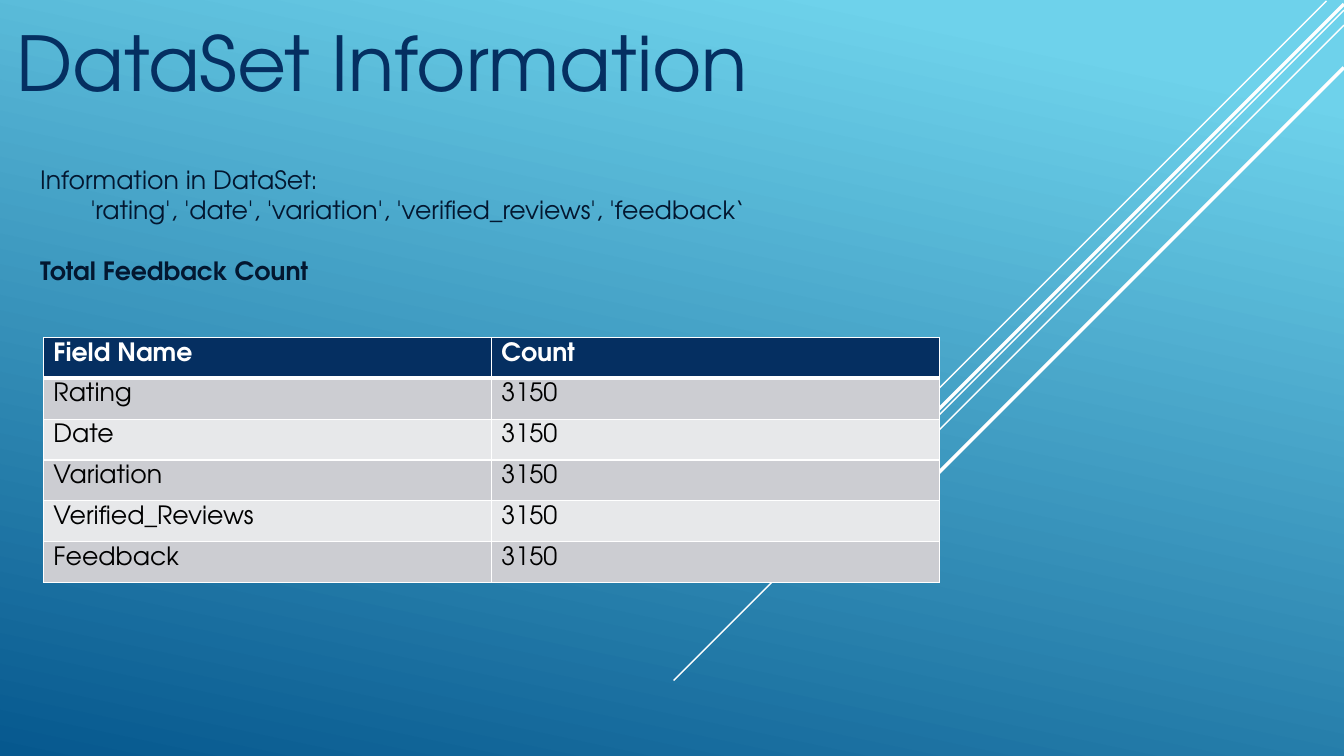
from dataclasses import dataclass

from lxml import etree
from pptx import Presentation
from pptx.dml.color import RGBColor
from pptx.enum import shapes, text
from pptx.oxml import ns
from pptx.util import Pt


@dataclass(frozen=True)
class Theme:
    font: str = "TeX Gyre Adventor"
    title_size: int = 54
    body_size: int = 18
    sky: str = "6ED2EB"
    deep: str = "06588E"
    navy: str = "052F61"
    ink: str = "031730"
    black: str = "000000"
    white: str = "FFFFFF"
    bands: tuple = ("CCCDD2", "E7E8EA")


THEME = Theme()


def write(paragraph, words, size=THEME.body_size, color=THEME.ink, bold=False,
          align=text.PP_ALIGN.LEFT, before=0, indent=0):
    paragraph.alignment = align
    paragraph.space_before = Pt(before)
    if indent:
        paragraph._p.get_or_add_pPr().set("marL", str(Pt(indent)))
    run = paragraph.add_run()
    run.text = words
    run.font.name = THEME.font
    run.font.size = Pt(size)
    run.font.bold = bold
    run.font.color.rgb = RGBColor.from_string(color)


def add_border(cell, side, width):
    properties = cell._tc.get_or_add_tcPr()
    line = etree.SubElement(properties, ns.qn(f"a:ln{side}"), w=str(Pt(width)))
    fill = etree.SubElement(line, ns.qn("a:solidFill"))
    etree.SubElement(fill, ns.qn("a:srgbClr"), val=THEME.white)


deck = Presentation()
deck.slide_width, deck.slide_height = Pt(960), Pt(540)
slide = deck.slides.add_slide(deck.slide_layouts[5])

# Background
backdrop = slide.background.fill
backdrop.gradient()
backdrop.gradient_angle = 258
for stop, position, color in zip(backdrop.gradient_stops, (0.1, 1),
                                 (THEME.sky, THEME.deep)):
    stop.position = position
    stop.color.rgb = RGBColor.from_string(color)

# Diagonal rays at 45 degrees: right end, top, horizontal reach, width
rays = [
    (947.5, 0.7, 299.5, 1),
    (960, 7.2, 478.8, 1),
    (960, 18, 390.2, 1),
    (960, 2.9, 382, 2.5),
    (960, 48.2, 342, 2.5),
]
for right, top, reach, width in rays:
    ray = slide.shapes.add_connector(
        shapes.MSO_CONNECTOR.STRAIGHT,
        Pt(right), Pt(top), Pt(right - reach), Pt(top + reach))
    ray.line.color.rgb = RGBColor.from_string(THEME.white)
    ray.line.width = Pt(width)
    etree.SubElement(ray._element.spPr, ns.qn("a:effectLst"))

# Title
title = slide.shapes.title
title.left, title.top, title.width, title.height = Pt(0), Pt(8), Pt(546), Pt(72.7)
title.text_frame.word_wrap = False
title.text_frame.auto_size = text.MSO_AUTO_SIZE.SHAPE_TO_FIT_TEXT
title.text_frame.vertical_anchor = text.MSO_ANCHOR.TOP
write(title.text_frame.paragraphs[0], "DataSet Information",
      size=THEME.title_size, color=THEME.navy, align=text.PP_ALIGN.CENTER)

# Summary of the fields
summary = slide.shapes.add_textbox(Pt(21.6), Pt(113.8), Pt(795), Pt(94.3)).text_frame
summary.word_wrap = True
summary.auto_size = text.MSO_AUTO_SIZE.SHAPE_TO_FIT_TEXT
write(summary.paragraphs[0], "Information in DataSet:")
write(summary.add_paragraph(),
      "'rating', 'date', 'variation', 'verified_reviews', 'feedback‘", indent=36)
write(summary.add_paragraph(), "Total Feedback Count", bold=True, before=21.6)

# Count table
fields = ["Rating", "Date", "Variation", "Verified_Reviews", "Feedback"]
rows = [("Field Name", "Count")] + [(field, "3150") for field in fields]
counts = slide.shapes.add_table(
    len(rows), 2, Pt(31), Pt(241), Pt(640), Pt(29.2 * len(rows))).table
for r, row in enumerate(rows):
    header = r == 0
    for c, words in enumerate(row):
        cell = counts.cell(r, c)
        for side in "LRTB":
            under_header = (r, side) in ((0, "B"), (1, "T"))
            add_border(cell, side, 3 if under_header else 1)
        cell.fill.solid()
        cell.fill.fore_color.rgb = RGBColor.from_string(
            THEME.navy if header else THEME.bands[(r - 1) % 2])
        write(cell.text_frame.paragraphs[0], words, bold=header,
              color=THEME.white if header else THEME.black)

deck.save("out.pptx")
